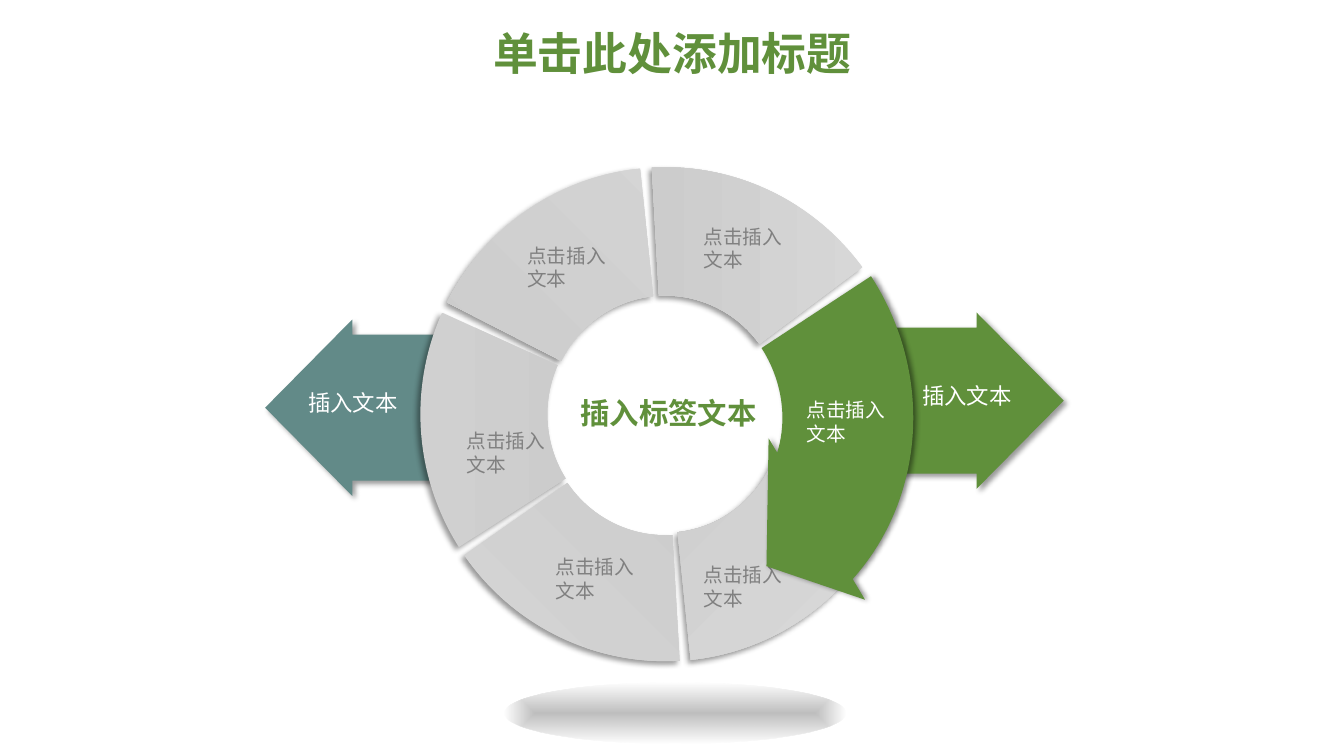
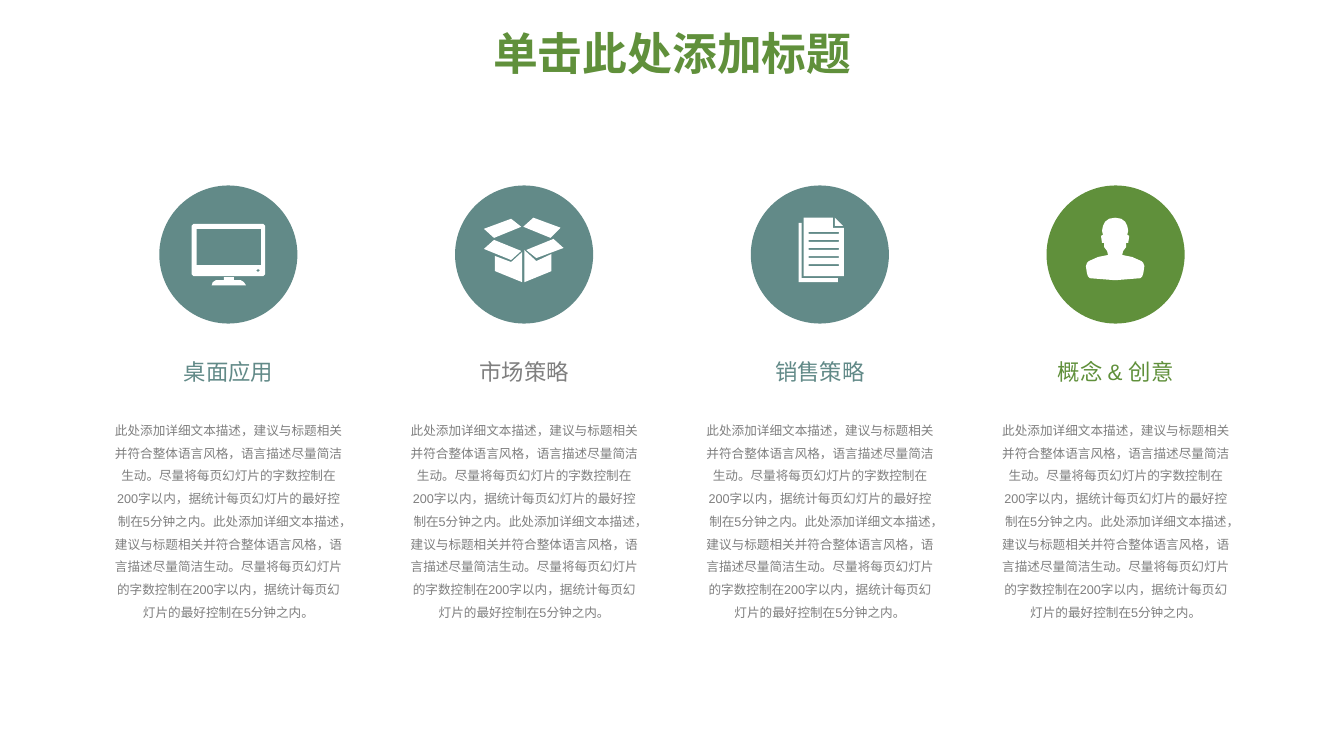
from pptx import Presentation
from pptx.dml.color import RGBColor
from pptx.enum.shapes import MSO_SHAPE
from pptx.enum.text import MSO_ANCHOR, MSO_AUTO_SIZE, PP_ALIGN
from pptx.oxml import parse_xml
from pptx.oxml.ns import nsdecls, qn
from pptx.util import Inches, Pt

GREEN = "60903B"
TEAL = "628A88"
GRAY = "7F7F7F"
LABEL_GRAY = "808080"
WHITE = "FFFFFF"
RING = (4.17, 1.66, 4.86, 4.9)
DEGREE = 0.6

TITLE = "单击此处添加标题"
SEGMENT_LABEL = "点击插入文本"
ARROW_LABEL = "插入文本"
SENTENCES = (
    "此处添加详细文本描述，建议与标题相关并符合整体语言风格，语言描述尽量简洁生动。"
    "尽量将每页幻灯片的字数控制在200字以内，据统计每页幻灯片的最好控制在5分钟之内。"
)
DESCRIPTION = SENTENCES * 2


def color(value):
    return RGBColor.from_string(value)


def linear(angle):
    return f'<a:lin ang="{angle * 60000}" scaled="0"/>'


def radial(kind, left, top, right, bottom):
    edges = zip("ltrb", (left, top, right, bottom))
    sides = " ".join(f'{side}="{value * 1000}"' for side, value in edges)
    return f'<a:path path="{kind}"><a:fillToRect {sides}/></a:path>'


def rectangle(left, top, right, bottom):
    return [(left, top), (right, top), (right, bottom), (left, bottom)]


class Deck:
    font = "Arial"

    def __init__(self):
        self.presentation = Presentation()
        self.presentation.slide_width = Inches(13.33)
        self.presentation.slide_height = Inches(7.5)
        self.slide = None

    def add_slide(self, title):
        layout = self.presentation.slide_layouts[5]
        self.slide = self.presentation.slides.add_slide(layout)
        shape = self.slide.shapes.title
        shape.left, shape.top = Inches(0.92), Inches(0.26)
        shape.width, shape.height = Inches(11.5), Inches(0.6)
        self.set_text(shape, title, 32, GREEN, True, PP_ALIGN.CENTER, 0.9)
        shape.text_frame.vertical_anchor = MSO_ANCHOR.MIDDLE

    def set_text(self, shape, text, size, text_color, bold=False,
                 align=PP_ALIGN.LEFT, spacing=1.0):
        frame = shape.text_frame
        frame.text = text
        frame.word_wrap = True
        frame.auto_size = MSO_AUTO_SIZE.NONE
        paragraph = frame.paragraphs[0]
        paragraph.alignment = align
        paragraph.line_spacing = spacing
        font = paragraph.runs[0].font
        font.name = self.font
        font.size = Pt(size)
        font.bold = bold
        font.color.rgb = color(text_color)

    def text(self, box, text, size, text_color, margins=(0.1, 0.05), **style):
        shape = self.slide.shapes.add_textbox(*map(Inches, box))
        frame = shape.text_frame
        frame.margin_left = frame.margin_right = Inches(margins[0])
        frame.margin_top = frame.margin_bottom = Inches(margins[1])
        self.set_text(shape, text, size, text_color, **style)

    def shape(self, kind, box, fill=None, adjustments=()):
        shape = self.slide.shapes.add_shape(kind, *map(Inches, box))
        for index, value in enumerate(adjustments):
            shape.adjustments[index] = value
        self.finish(shape, fill)
        return shape

    def finish(self, shape, fill):
        shape.shadow.inherit = False
        shape.line.fill.background()
        if fill:
            shape.fill.solid()
            shape.fill.fore_color.rgb = color(fill)
        else:
            shape.fill.background()

    def gradient(self, shape, stops, direction):
        marks = "".join(
            f'<a:gs pos="{position * 1000}"><a:srgbClr val="{value}">'
            f'<a:alpha val="{alpha * 1000}"/></a:srgbClr></a:gs>'
            for position, value, alpha in stops)
        fill = parse_xml(
            f'<a:gradFill {nsdecls("a")} rotWithShape="1">'
            f'<a:gsLst>{marks}</a:gsLst>{direction}</a:gradFill>')
        properties = shape._element.spPr
        properties.replace(properties.find(qn("a:noFill")), fill)

    def shadow(self, shape, angle, alpha=40, distance=3):
        shape._element.spPr.find(qn("a:effectLst")).append(parse_xml(
            f'<a:outerShdw {nsdecls("a")} blurRad="{Pt(4)}" '
            f'dist="{Pt(distance)}" dir="{angle * 60000}" '
            f'algn="ctr" rotWithShape="0"><a:srgbClr val="000000">'
            f'<a:alpha val="{alpha * 1000}"/></a:srgbClr></a:outerShdw>'))

    def segment(self, start, end, thickness, colors, direction, label):
        shape = self.shape(MSO_SHAPE.BLOCK_ARC, RING, adjustments=(
            start * DEGREE, end * DEGREE, thickness))
        stops = [(0, colors[0], 100), (100, colors[1], 100)]
        self.gradient(shape, stops, direction)
        self.shadow(shape, 135)
        self.segment_label(label, LABEL_GRAY)

    def segment_label(self, position, text_color):
        self.text((*position, 0.99, 0.57), SEGMENT_LABEL, 14, text_color)

    def side_arrow(self, kind, left, top, fill):
        shape = self.shape(kind, (left, top, 1.83, 1.75), fill, (0.828, 0.494))
        self.shadow(shape, 45)
        self.text((left + 0.33, top + 0.64, 1.23, 0.37), ARROW_LABEL, 16, WHITE)

    def icon(self, parts):
        group = self.slide.shapes.add_group_shape()
        for outlines in parts:
            builder = None
            for outline in outlines:
                points = [(Inches(x), Inches(y)) for x, y in outline]
                if builder is None:
                    builder = group.shapes.build_freeform(*points[0])
                else:
                    builder.move_to(*points[0])
                builder.add_line_segments(points[1:], close=True)
            self.finish(builder.convert_to_shape(), WHITE)


FIRST_SEGMENT = (19, 84.12, 0.262, ("D9D9D9", "C1C1C1"),
                 radial("circle", 100, 100, 0, 0), (6.88, 5.54))
SEGMENTS = [
    (266.85, 323.26, 0.262, ("D9D9D9", "BFBFBF"), linear(180), (6.88, 2.18)),
    (207.11, 264.12, 0.262, ("D9D9D9", "C5C5C5"), linear(135), (5.13, 2.37)),
    (147.23, 204.47, 0.259, ("D0D0D0", "BEBEBE"), linear(0), (4.53, 4.21)),
    (86.71, 144.94, 0.257, ("D5D5D5", "C0C0C0"), linear(315), (5.41, 5.46)),
]

MONITOR = [
    [[(2.1, 2.83), (2.11, 2.8), (2.14, 2.78), (2.22, 2.78), (2.22, 2.75),
      (2.32, 2.75), (2.32, 2.78), (2.39, 2.78), (2.42, 2.8), (2.44, 2.83)]],
    [[(1.92, 2.22), (2.61, 2.22), (2.63, 2.24), (2.63, 2.72),
      (2.61, 2.74), (1.92, 2.74), (1.9, 2.72), (1.9, 2.24)],
     rectangle(1.95, 2.27, 2.59, 2.63),
     [(2.56, 2.67), (2.58, 2.68), (2.56, 2.7), (2.54, 2.68)]],
]
OPEN_BOX = [
    [[(5.17, 2.25), (5.07, 2.17), (4.8, 2.27), (4.9, 2.36)]],
    [[(5.2, 2.48), (5.2, 2.8), (5.47, 2.69), (5.47, 2.52), (5.32, 2.59)]],
    [[(5.22, 2.48), (5.32, 2.56), (5.59, 2.46), (5.49, 2.37)]],
    [[(5.56, 2.26), (5.29, 2.16), (5.19, 2.25), (5.46, 2.36)]],
    [[(4.91, 2.54), (4.91, 2.69), (5.18, 2.8), (5.18, 2.5), (5.07, 2.6)]],
    [[(5.17, 2.49), (4.9, 2.38), (4.8, 2.47), (5.07, 2.58)]],
]
TEXT_LINES = [rectangle(8.02, 2.3 + 0.08 * row, 8.32, 2.32 + 0.08 * row)
              for row in range(5)]
DOCUMENT = [
    [[(7.97, 2.16), (8.26, 2.16), (8.26, 2.26), (8.37, 2.26),
      (8.37, 2.74), (7.97, 2.74)], *TEXT_LINES],
    [[(8.28, 2.16), (8.28, 2.24), (8.36, 2.24)]],
    [[(7.95, 2.21), (7.92, 2.21), (7.92, 2.8), (8.31, 2.8),
      (8.31, 2.76), (7.95, 2.76)]],
]
PERSON_CENTER = 11.06
PERSON_HALF = [
    (0, 2.16), (0.06, 2.17), (0.1, 2.2), (0.12, 2.24), (0.13, 2.29),
    (0.12, 2.33), (0.14, 2.34), (0.13, 2.41), (0.11, 2.41), (0.11, 2.45),
    (0.08, 2.49), (0.07, 2.53), (0.17, 2.55), (0.26, 2.59), (0.28, 2.61),
    (0.29, 2.64), (0.28, 2.71), (0.27, 2.74), (0.25, 2.76), (0, 2.78),
]
PERSON = [[[(PERSON_CENTER + x, y) for x, y in PERSON_HALF]
           + [(PERSON_CENTER - x, y) for x, y in PERSON_HALF[-2:0:-1]]]]

COLUMNS = [
    ("桌面应用", TEAL, TEAL, MONITOR),
    ("市场策略", GRAY, TEAL, OPEN_BOX),
    ("销售策略", TEAL, TEAL, DOCUMENT),
    ("概念 & 创意", GREEN, GREEN, PERSON),
]


def add_ring_slide(deck):
    deck.add_slide(TITLE)
    deck.segment(*FIRST_SEGMENT)
    deck.side_arrow(MSO_SHAPE.RIGHT_ARROW, 8.72, 3.1, GREEN)
    deck.side_arrow(MSO_SHAPE.LEFT_ARROW, 2.63, 3.17, TEAL)
    deck.text((5.56, 3.85, 2.14, 0.49), "插入标签文本", 21, GREEN,
              margins=(0.13, 0.07), bold=True, align=PP_ALIGN.CENTER)
    highlight = deck.shape(
        MSO_SHAPE.CIRCULAR_ARROW, (3.89, 1.39, 5.54, 5.3), GREEN,
        (0.245, 12.945, 202.675, 160.141, 0.176))
    highlight.rotation = 59.8
    deck.shadow(highlight, 0, alpha=45, distance=2)
    deck.segment_label((7.9, 3.9), WHITE)
    for segment in SEGMENTS:
        deck.segment(*segment)
    floor = deck.shape(MSO_SHAPE.OVAL, (5, 6.77, 3.39, 0.61))
    deck.gradient(floor, [(0, "A3A3A3", 70), (100, "A3A3A3", 0)],
                  radial("shape", 50, 50, 50, 50))


def add_columns_slide(deck):
    deck.add_slide(TITLE)
    for index, (heading, heading_color, fill, icon) in enumerate(COLUMNS):
        left = 1.14 + index * 8.8 / 3
        deck.text((left, 4.12, 2.25, 2.01), DESCRIPTION, 9, GRAY,
                  margins=(0, 0), align=PP_ALIGN.CENTER, spacing=1.5)
        deck.text((left, 3.58, 2.25, 0.41), heading, 16, heading_color,
                  margins=(0, 0), align=PP_ALIGN.CENTER, spacing=0.9)
        deck.shape(MSO_SHAPE.OVAL, (left + 0.44, 1.84, 1.37, 1.37), fill)
        deck.icon(icon)


def main():
    deck = Deck()
    add_ring_slide(deck)
    add_columns_slide(deck)
    deck.presentation.save("out.pptx")


if __name__ == "__main__":
    main()
